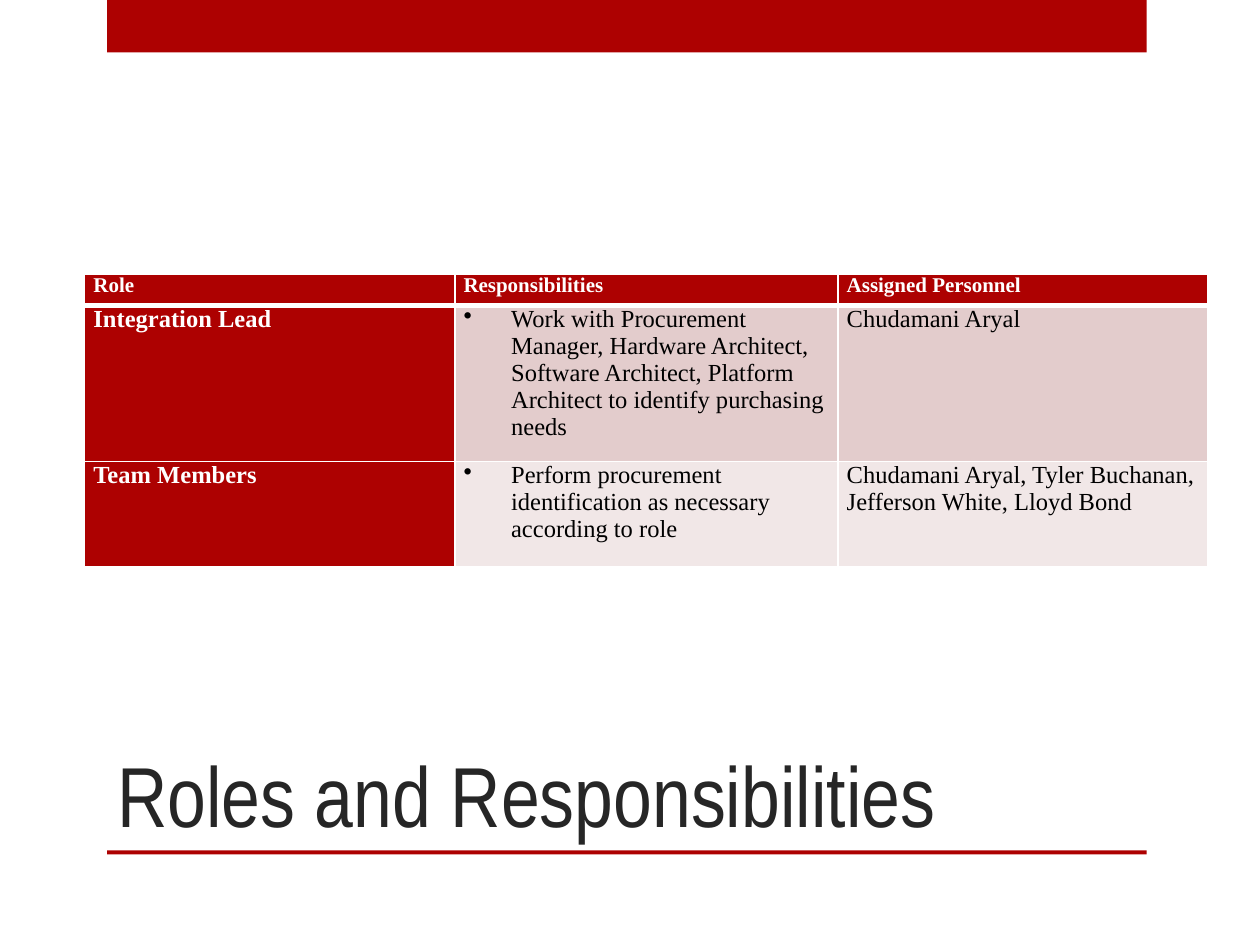
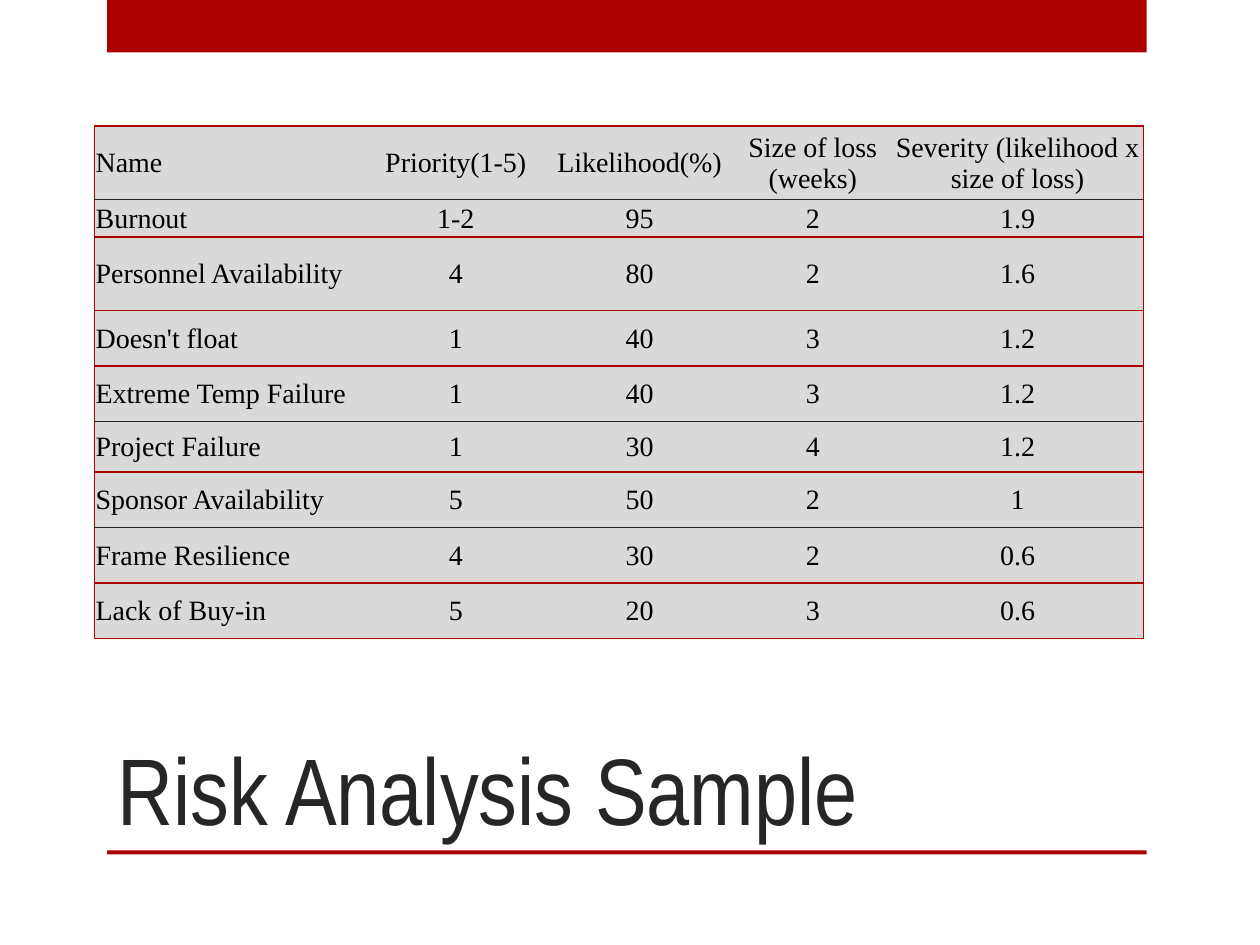
"""Build the roles table and the risk analysis table slides."""
from lxml import etree
from pptx import Presentation
from pptx.dml.color import RGBColor
from pptx.enum import shapes, text
from pptx.oxml import ns
from pptx.util import Pt

RED = RGBColor(0xAD, 0x01, 0x01)
INK = RGBColor(0x26, 0x26, 0x26)
BLACK = RGBColor(0x00, 0x00, 0x00)
WHITE = RGBColor(0xFF, 0xFF, 0xFF)
GREY = RGBColor(0xD9, 0xD9, 0xD9)
PINK = RGBColor(0xE3, 0xCC, 0xCC)
PALE = RGBColor(0xF1, 0xE7, 0xE7)
TITLE_FONT = "Arial Narrow"
TABLE_FONT = "Times New Roman"

BANDS = [(0, 30), (486, 2.2)]
TITLES = [("Roles and Responsibilities", 48.6), ("Risk Analysis Sample", 54)]

ROLES = [
    ("Role", "Responsibilities", "Assigned Personnel"),
    ("Integration Lead",
     "Work with Procurement Manager, Hardware Architect, Software Architect, "
     "Platform Architect to identify purchasing needs",
     "Chudamani Aryal"),
    ("Team Members",
     "Perform procurement identification as necessary according to role",
     "Chudamani Aryal, Tyler Buchanan, Jefferson White, Lloyd Bond"),
]
ROLE_COLS = [211.5, 219, 211.5]
ROLE_ROWS = [18, 89.3, 59.8]
ROLE_FILLS = [RED, PINK, PALE]

RISKS = [
    ("Name", "Priority(1-5)", "Likelihood(%)", "Size of loss (weeks)",
     "Severity (likelihood x size of loss)"),
    ("Burnout", "1-2", "95", "2", "1.9"),
    ("Personnel Availability", "4", "80", "2", "1.6"),
    ("Doesn't float", "1", "40", "3", "1.2"),
    ("Extreme Temp Failure", "1", "40", "3", "1.2"),
    ("Project Failure", "1", "30", "4", "1.2"),
    ("Sponsor Availability", "5", "50", "2", "1"),
    ("Frame Resilience", "4", "30", "2", "0.6"),
    ("Lack of Buy-in", "5", "20", "3", "0.6"),
]
RISK_COLS = [155.5, 102, 108, 90, 144]
RISK_ROWS = [42, 21.4, 42, 31.7, 31.7, 29, 31.7, 31.7, 31.7]
RISK_RULES = [RED, INK, RED, RED, RED, INK, RED, INK, RED, RED]


def add_grid(s, left, top, cols, rows):
    """Add an unbanded table with the given column widths and row heights."""
    frame = s.shapes.add_table(len(rows), len(cols), Pt(left), Pt(top),
                               Pt(sum(cols)), Pt(sum(rows)))
    tbl = frame.table
    tbl.horz_banding = False
    for col, width in zip(tbl.columns, cols):
        col.width = Pt(width)
    for row, height in zip(tbl.rows, rows):
        row.height = Pt(height)
    return tbl


def fill_cell(cell, words, fill, font, margins, borders):
    """Write one cell; borders run left, right, top, bottom as (colour, width)."""
    tc_pr = cell._tc.get_or_add_tcPr()
    for side, (color, width) in zip("LRTB", borders):
        ln = etree.SubElement(tc_pr, ns.qn("a:ln" + side), w=str(Pt(width)))
        if color is None:
            etree.SubElement(ln, ns.qn("a:noFill"))
        else:
            solid = etree.SubElement(ln, ns.qn("a:solidFill"))
            etree.SubElement(solid, ns.qn("a:srgbClr"), val=str(color))
    cell.fill.solid()
    cell.fill.fore_color.rgb = fill
    for side, margin in zip(("left", "right", "top", "bottom"), margins):
        setattr(cell, "margin_" + side, Pt(margin))
    p = cell.text_frame.paragraphs[0]
    r = p.add_run()
    r.text = words
    r.font.name = TABLE_FONT
    r.font.color.rgb = font["color"]
    for name in ("size", "bold"):
        setattr(r.font, name, font[name])
    return p


prs = Presentation()
prs.slide_width, prs.slide_height = Pt(720), Pt(540)
slides = []
for title, size in TITLES:
    s = prs.slides.add_slide(prs.slide_layouts[6])
    slides.append(s)
    for top, height in BANDS:
        sp = s.shapes.add_shape(shapes.MSO_SHAPE.RECTANGLE,
                                Pt(61.2), Pt(top), Pt(594), Pt(height))
        sp.shadow.inherit = False
        sp.fill.solid()
        sp.fill.fore_color.rgb = RED
        sp.line.fill.background()
    tf = s.shapes.add_textbox(Pt(60), Pt(360), Pt(534), Pt(126)).text_frame
    tf.word_wrap = True
    tf.vertical_anchor = text.MSO_ANCHOR.BOTTOM
    r = tf.paragraphs[0].add_run()
    r.text = title
    for name, value in {"name": TITLE_FONT, "size": Pt(size)}.items():
        setattr(r.font, name, value)
    r.font.color.rgb = INK

tbl = add_grid(slides[0], 48.4, 156.5, ROLE_COLS, ROLE_ROWS)
for i, row in enumerate(ROLES):
    for j, words in enumerate(row):
        heading = i == 0 or j == 0
        font = {"size": Pt(14 if i else 12), "bold": heading,
                "color": WHITE if heading else BLACK}
        widths = [1, 1, 3 if i == 1 else 1, 3 if i == 0 else 1]
        p = fill_cell(tbl.cell(i, j), words, RED if heading else ROLE_FILLS[i],
                      font, (5, 5, 0, 0), [(WHITE, w) for w in widths])
        p.space_before = Pt(6)
        if i and j == 1:
            p_pr = p._p.get_or_add_pPr()
            p_pr.set("marL", str(Pt(27.2)))
            p_pr.set("indent", str(-Pt(27.2)))
            etree.SubElement(p_pr, ns.qn("a:buChar"), char="•")

tbl = add_grid(slides[1], 54, 72, RISK_COLS, RISK_ROWS)
font = {"size": Pt(16), "bold": False, "color": BLACK}
for i, row in enumerate(RISKS):
    for j, words in enumerate(row):
        borders = [(None if j else RED, 1),
                   (RED if j == len(row) - 1 else None, 1),
                   (RISK_RULES[i], 1), (RISK_RULES[i + 1], 1)]
        cell = tbl.cell(i, j)
        p = fill_cell(cell, words, GREY, font, (0.7, 0.7, 0.7, 0), borders)
        cell.vertical_anchor = text.MSO_ANCHOR.MIDDLE
        p.alignment = text.PP_ALIGN.CENTER if j else text.PP_ALIGN.LEFT

prs.save("out.pptx")
